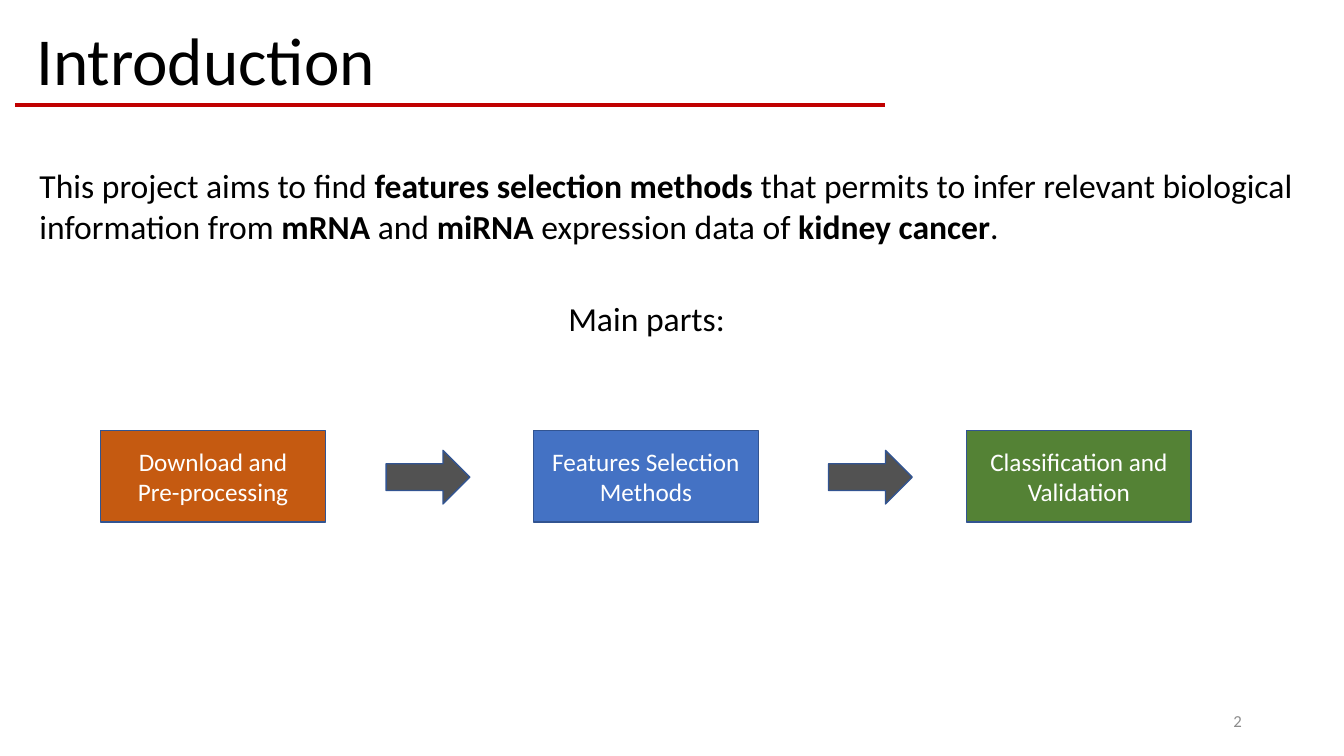
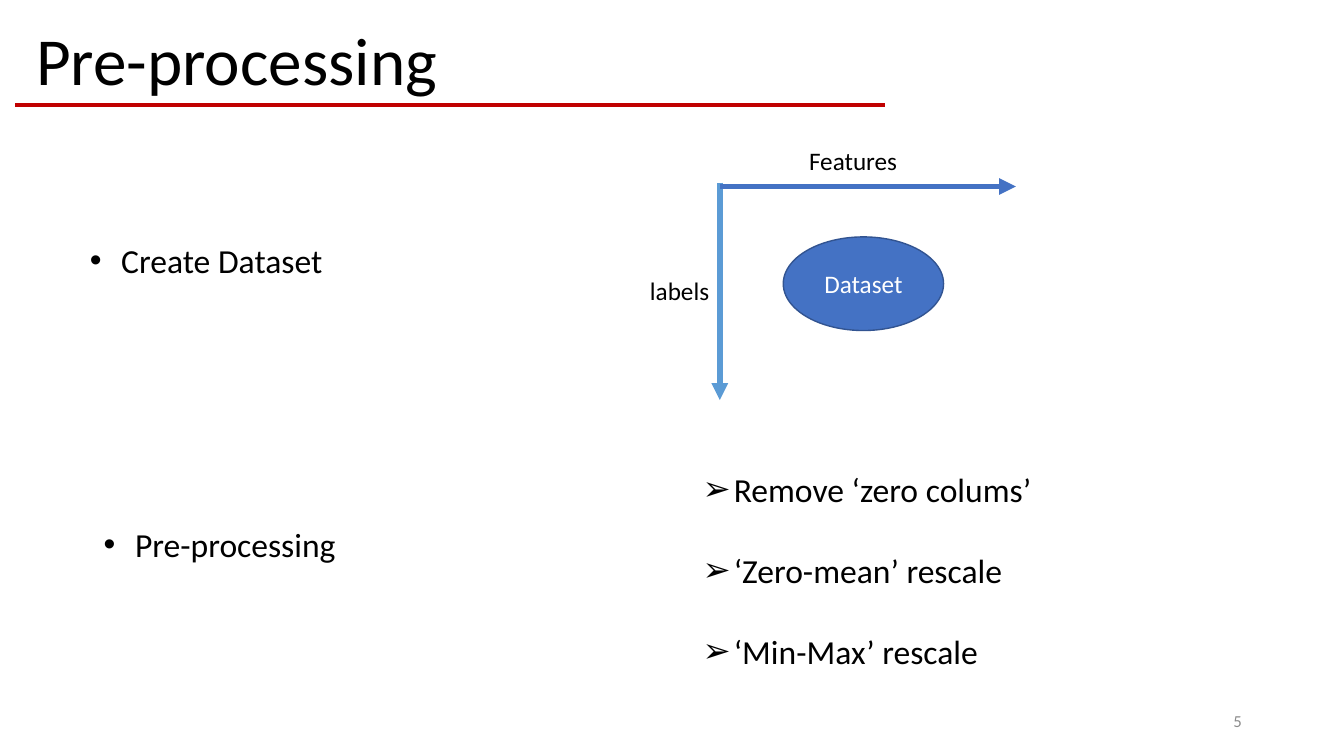
import lxml.etree
import pptx
import pptx.dml.color
import pptx.enum.shapes
import pptx.enum.text
import pptx.oxml.ns
import pptx.util

Cm = pptx.util.Cm
Pt = pptx.util.Pt
Align = pptx.enum.text.PP_ALIGN
Anchor = pptx.enum.text.MSO_ANCHOR
Shape = pptx.enum.shapes.MSO_SHAPE

FONT = "Calibri"
BLACK, WHITE, GREY, DARK_GREY = "000000", "FFFFFF", "8C8C8C", "525252"
RED, ORANGE, GREEN = "C00000", "C55A11", "548235"
BLUE, LIGHT_BLUE, OUTLINE = "4472C4", "5B9BD5", "325491"
TITLE_AND_BODY, COMPARISON = 1, 4


def color(value):
    return pptx.dml.color.RGBColor.from_string(value)


def add_xml(parent, tag, **attributes):
    return lxml.etree.SubElement(parent, pptx.oxml.ns.qn(tag), attributes)


class Deck:
    def __init__(self):
        self.deck = pptx.Presentation()
        self.deck.slide_width = Cm(33.87)
        self.deck.slide_height = Cm(19.05)
        self.page = None

    def start_page(self, layout, title, number):
        self.page = self.deck.slides.add_slide(self.deck.slide_layouts[layout])
        self.place(self.page.shapes.title, 0.66, 0.33, 23.24, 2.31)
        self.set_text(self.page.shapes.title, [title], 48)
        self.line(0.38, 2.64, 22.3, 2.64, RED, 3)
        self.text(number, 23.93, 17.65, 7.62, 1.02, 12, GREY, Align.RIGHT, Anchor.MIDDLE)

    def place(self, box, left, top, width, height):
        box.left, box.top = Cm(left), Cm(top)
        box.width, box.height = Cm(width), Cm(height)

    def set_text(self, box, lines, size, ink=BLACK, align=Align.LEFT, anchor=Anchor.TOP, gap=0):
        frame = box.text_frame
        frame.word_wrap = True
        frame.auto_size = pptx.enum.text.MSO_AUTO_SIZE.NONE
        frame.vertical_anchor = anchor
        for index, line in enumerate(lines):
            para = frame.add_paragraph() if index else frame.paragraphs[0]
            para.alignment = align
            para.space_before = Pt(0)
            para.space_after = Pt(gap)
            spans = [(line, False)] if isinstance(line, str) else line
            for words, bold in spans:
                span = para.add_run()
                span.text = words
                span.font.name = FONT
                span.font.size = Pt(size)
                span.font.bold = bold
                span.font.color.rgb = color(ink)

    def text(self, words, left, top, width, height, size, ink=BLACK,
             align=Align.LEFT, anchor=Anchor.TOP):
        box = self.page.shapes.add_textbox(Cm(left), Cm(top), Cm(width), Cm(height))
        self.set_text(box, [words], size, ink, align, anchor)

    def body(self, holder, lines, left, top, width, height, bullet=None, gap=0):
        box = self.page.placeholders[holder]
        self.place(box, left, top, width, height)
        self.set_text(box, lines, 24, gap=gap)
        indent = Cm(0.79) if bullet else 0
        for para in box.text_frame.paragraphs:
            properties = para._p.get_or_add_pPr()
            properties.set("marL", str(indent))
            properties.set("indent", str(-indent))
            if bullet:
                add_xml(properties, "a:buFont", typeface="Arial")
                add_xml(properties, "a:buChar", char=bullet)
            else:
                add_xml(properties, "a:buNone")

    def shape(self, kind, left, top, width, height, fill, lines=()):
        shape = self.page.shapes.add_shape(kind, Cm(left), Cm(top), Cm(width), Cm(height))
        shape.shadow.inherit = False
        shape.fill.solid()
        shape.fill.fore_color.rgb = color(fill)
        shape.line.color.rgb = color(OUTLINE)
        shape.line.width = Pt(1)
        self.set_text(shape, lines, 18, WHITE, Align.CENTER, Anchor.MIDDLE)

    def line(self, left, top, right, bottom, ink, width, arrow=False):
        line = self.page.shapes.add_connector(
            pptx.enum.shapes.MSO_CONNECTOR.STRAIGHT, Cm(left), Cm(top), Cm(right), Cm(bottom))
        line.line.color.rgb = color(ink)
        line.line.width = Pt(width)
        if arrow:
            add_xml(line.get_or_add_ln(), "a:tailEnd", type="triangle")
        add_xml(line.element.spPr, "a:effectLst")

    def remove_empty_placeholders(self):
        for holder in list(self.page.placeholders):
            if not holder.text_frame.text:
                holder.element.getparent().remove(holder.element)


def introduction(deck):
    deck.start_page(TITLE_AND_BODY, "Introduction", "2")
    aim = [
        ("This project aims to find ", False),
        ("features selection methods ", True),
        ("that permits to infer relevant biological information from ", False),
        ("mRNA", True),
        (" and ", False),
        ("miRNA", True),
        (" expression data of ", False),
        ("kidney cancer", True),
        (".", False),
    ]
    deck.body(1, [aim], 0.74, 4.04, 32.41, 2.31)
    deck.text("Main parts:", 9.73, 7.39, 13.13, 1.27, 24, align=Align.CENTER)
    parts = [
        (ORANGE, ["Download and", "Pre-processing"]),
        (BLUE, ["Features Selection", "Methods"]),
        (GREEN, ["Classification and", "Validation"]),
    ]
    for index, (fill, lines) in enumerate(parts):
        deck.shape(Shape.RECTANGLE, 2.54 + index * 10.91, 10.85, 5.66, 2.31, fill, lines)
    for index in range(len(parts) - 1):
        deck.shape(Shape.RIGHT_ARROW, 9.73 + index * 11.15, 11.35, 2.11, 1.35, DARK_GREY)


def preprocessing(deck):
    deck.start_page(COMPARISON, "Pre-processing", "5")
    deck.line(18.14, 4.6, 18.14, 10.08, LIGHT_BLUE, 4, arrow=True)
    deck.line(18.14, 4.7, 25.6, 4.7, BLUE, 4, arrow=True)
    deck.text("Features", 20.14, 3.53, 5.23, 1.02, 18)
    deck.text("labels", 16.13, 6.81, 5.23, 1.02, 18)
    deck.shape(Shape.OVAL, 19.74, 5.97, 4.04, 2.36, BLUE, ["Dataset"])
    deck.body(1, ["Create Dataset"], 2.01, 5.92, 14.15, 1.27, "•")
    deck.body(3, ["Pre-processing"], 2.36, 13.08, 16.23, 1.27, "•")
    steps = ["Remove ‘zero colums’", "‘Zero-mean’ rescale", "‘Min-Max’ rescale"]
    deck.body(2, steps, 17.45, 11.68, 14.27, 5.38, "➢", gap=29)
    deck.remove_empty_placeholders()


deck = Deck()
introduction(deck)
preprocessing(deck)
deck.deck.save("out.pptx")
